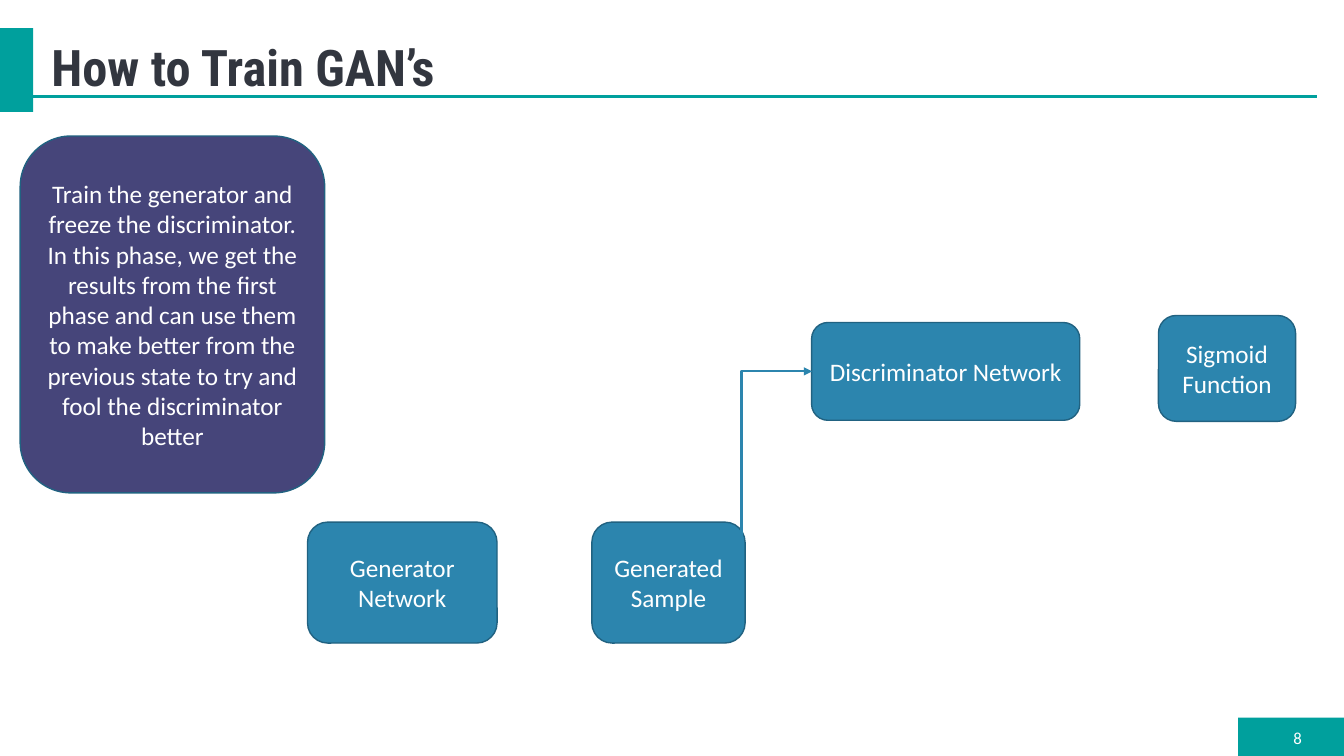
"""Build the slide on training the generator of a GAN."""
from lxml import etree
from pptx import Presentation
from pptx.dml.color import RGBColor
from pptx.enum import shapes, text
from pptx.oxml import ns
from pptx.util import Inches, Pt

COLORS = {
    "teal": "00A09D",
    "title": "32363F",
    "white": "FFFFFF",
    "blue": "2C85AE",
    "border": "216281",
    "purple": "46457A",
}


def color(name):
    """Return the named colour."""
    return RGBColor.from_string(COLORS[name])


def add_box(kind, bounds, fill, words=""):
    """Add a filled shape, with a border and centred text when it has words."""
    shape = slide.shapes.add_shape(kind, *map(Inches, bounds))
    shape.shadow.inherit = False
    shape.fill.solid()
    shape.fill.fore_color.rgb = color(fill)
    if not words:
        shape.line.fill.background()
        return
    shape.line.color.rgb = color("border")
    shape.line.width = Pt(1)
    frame = shape.text_frame
    frame.word_wrap = True
    frame.vertical_anchor = text.MSO_ANCHOR.MIDDLE
    paragraph = frame.paragraphs[0]
    paragraph.text = words
    paragraph.alignment = text.PP_ALIGN.CENTER
    paragraph.font.size = Pt(18)
    paragraph.font.name = "Calibri"
    paragraph.font.color.rgb = color("white")


presentation = Presentation()
presentation.slide_width = Inches(13.33)
presentation.slide_height = Inches(7.5)
slide = presentation.slides.add_slide(presentation.slide_layouts[5])

for bounds in [(12.28, 7.12, 1.05, 0.38), (0, 0.28, 0.33, 0.83)]:
    add_box(shapes.MSO_SHAPE.RECTANGLE, bounds, "teal")

title = slide.shapes.title
title.left, title.top, title.width, title.height = map(Inches, (0.41, 0.28, 12.6, 0.83))
number = slide.shapes.add_textbox(*map(Inches, (12.6, 7.2, 0.41, 0.23)))
labels = [
    (title, "How to Train GAN’s", 36, "Roboto Condensed", "title", text.PP_ALIGN.LEFT),
    (number, "8", 12, "Calibri", "white", text.PP_ALIGN.RIGHT),
]
for shape, words, size, font, shade, alignment in labels:
    frame = shape.text_frame
    frame.word_wrap = True
    frame.auto_size = text.MSO_AUTO_SIZE.NONE
    frame.vertical_anchor = text.MSO_ANCHOR.MIDDLE
    paragraph = frame.paragraphs[0]
    paragraph.text = words
    paragraph.alignment = alignment
    paragraph.font.size = Pt(size)
    paragraph.font.name = font
    paragraph.font.bold = shape is title
    paragraph.font.color.rgb = color(shade)
title.text_frame.paragraphs[0].line_spacing = 0.9

explanation = (
    "Train the generator and freeze the discriminator. In this phase, we get the "
    "results from the first phase and can use them to make better from the "
    "previous state to try and fool the discriminator better"
)
boxes = [
    ((3.05, 5.18, 1.88, 1.2), "blue", "Generator Network"),
    ((5.87, 5.18, 1.52, 1.2), "blue", "Generated Sample"),
    ((8.05, 3.2, 2.66, 0.97), "blue", "Discriminator Network"),
    ((11.49, 3.13, 1.36, 1.05), "blue", "Sigmoid Function"),
    ((0.2, 1.35, 3.02, 3.54), "purple", explanation),
]
for bounds, fill, words in boxes:
    add_box(shapes.MSO_SHAPE.ROUNDED_RECTANGLE, bounds, fill, words)

lines = [
    (shapes.MSO_CONNECTOR.STRAIGHT, (0.27, 0.96, 13.06, 0.96), "teal", 2.25),
    (shapes.MSO_CONNECTOR.ELBOW, (8.77, 5.1, 6.64, 4.4), "blue", 1.5),
]
for kind, ends, shade, width in lines:
    connector = slide.shapes.add_connector(kind, *map(Inches, ends))
    connector.line.color.rgb = color(shade)
    connector.line.width = Pt(width)
    properties = connector._element.spPr
    etree.SubElement(properties, ns.qn("a:effectLst"))
    if kind == shapes.MSO_CONNECTOR.ELBOW:
        properties.find(ns.qn("a:xfrm")).set("rot", "5400000")
        properties.find(ns.qn("a:prstGeom")).set("prst", "bentConnector2")
        outline = properties.find(ns.qn("a:ln"))
        etree.SubElement(outline, ns.qn("a:tailEnd"), type="triangle")

presentation.save("out.pptx")
